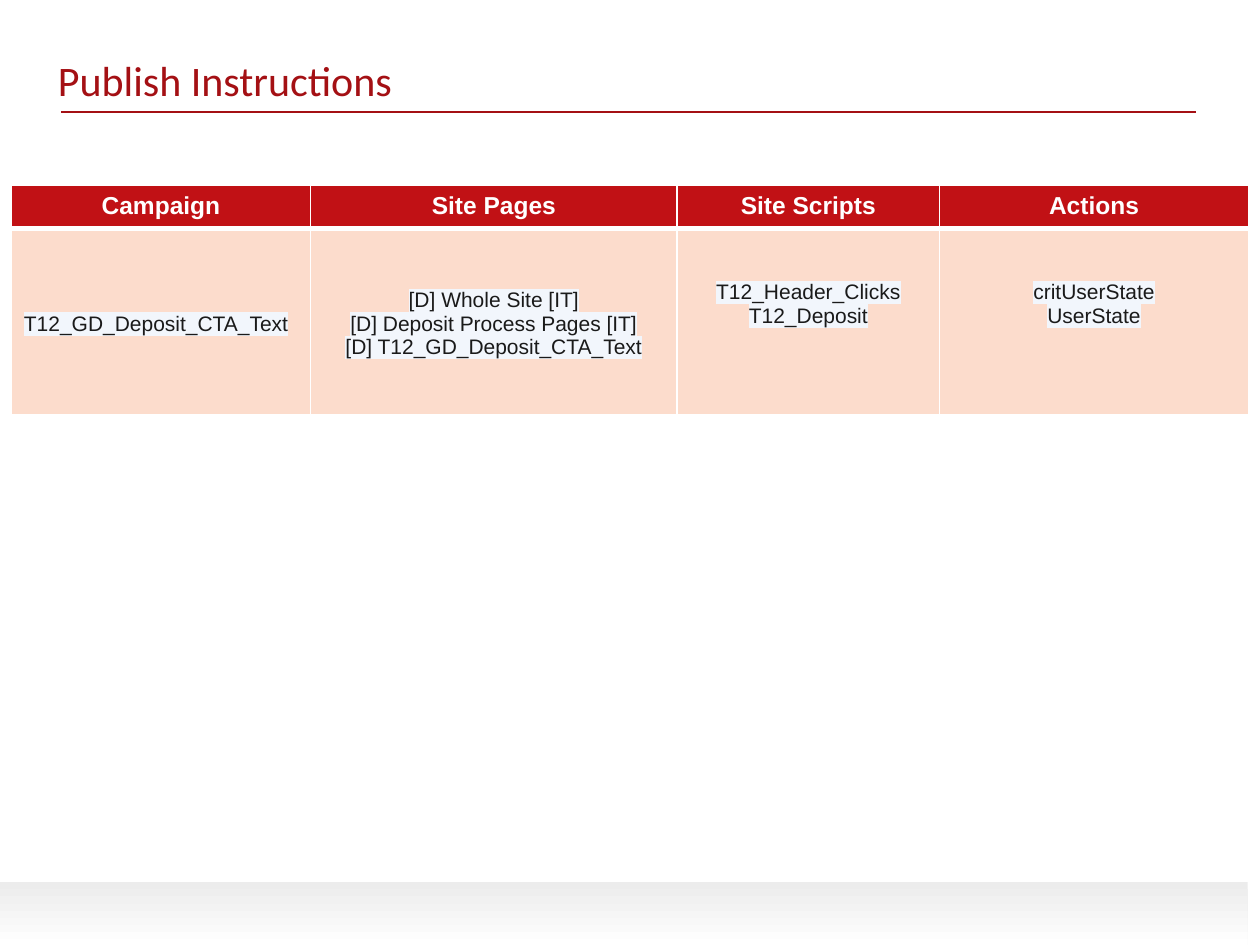
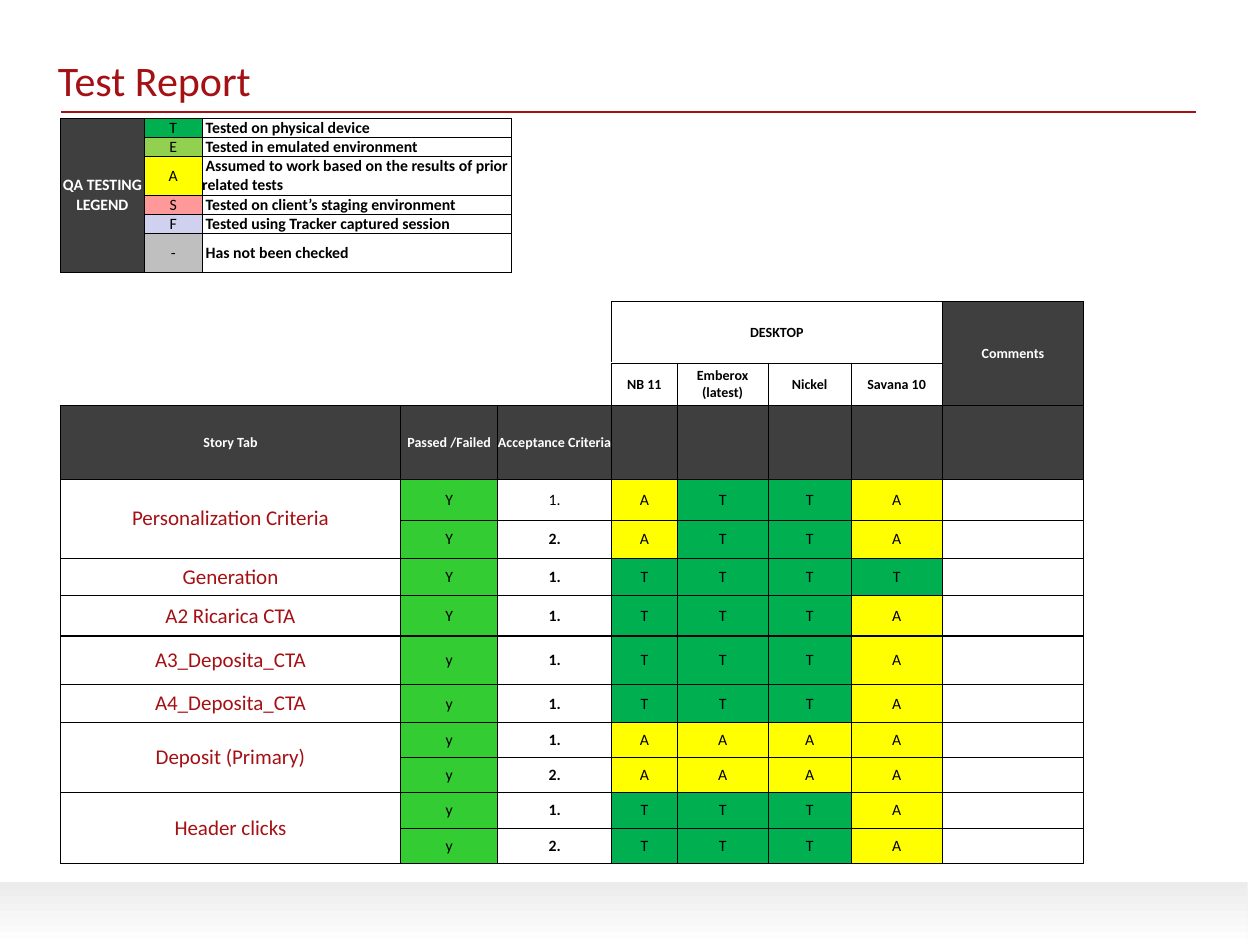
from dataclasses import dataclass

from lxml import etree
from pptx import Presentation
from pptx.dml.color import RGBColor
from pptx.enum.shapes import MSO_CONNECTOR, MSO_SHAPE
from pptx.enum.text import MSO_ANCHOR, PP_ALIGN
from pptx.oxml.ns import qn
from pptx.util import Pt

LEFT, CENTER = PP_ALIGN.LEFT, PP_ALIGN.CENTER
TOP, MIDDLE = MSO_ANCHOR.TOP, MSO_ANCHOR.MIDDLE
STRAIGHT, RECTANGLE = MSO_CONNECTOR.STRAIGHT, MSO_SHAPE.RECTANGLE


@dataclass(frozen=True)
class Theme:
    """Colours, fonts and type sizes of the deck."""
    title: str = "A41014"
    header: str = "C11115"
    body: str = "FCDCCC"
    ink: str = "1A1A1A"
    highlight: str = "F2F6FC"
    band: str = "ECECEC"
    white: str = "FFFFFF"
    black: str = "000000"
    dark: str = "3F3F3F"
    passed: str = "33CC33"
    physical: str = "00B050"
    emulated: str = "92D050"
    assumed: str = "FFFF00"
    staging: str = "FF9999"
    captured: str = "D0D0EF"
    unchecked: str = "BFBFBF"
    heading_font: str = "Calibri"
    body_font: str = "Arial"
    title_size: float = 24
    header_size: float = 14
    story_size: float = 12
    mark_size: float = 9
    label_size: float = 8


THEME = Theme()
MARKS = {"T": THEME.physical, "A": THEME.assumed}
LEGEND = [
    ("T", THEME.physical, " Tested on physical device"),
    ("E", THEME.emulated, " Tested in emulated environment"),
    ("A", THEME.assumed, " Assumed to work based on the results of prior related tests"),
    ("S", THEME.staging, " Tested on client’s staging environment"),
    ("F", THEME.captured, " Tested using Tracker captured session"),
    ("-", THEME.unchecked, " Has not been checked"),
]
PUBLISH = [
    ("Campaign", "T12_GD_Deposit_CTA_Text", LEFT, 48),
    ("Site Pages", "[D] Whole Site [IT]\n[D] Deposit Process Pages [IT]\n"
                   "[D] T12_GD_Deposit_CTA_Text", CENTER, 34.5),
    ("Site Scripts", "T12_Header_Clicks\nT12_Deposit", CENTER, 30),
    ("Actions", "critUserState\nUserState", CENTER, 30),
]
BROWSERS = ["NB 11", "Emberox\n(latest)", "Nickel", "Savana 10"]
STORIES = [
    ("Personalization Criteria", "Y", ["ATTA", "ATTA"]),
    ("Generation", "Y", ["TTTT"]),
    ("A2 Ricarica CTA", "Y", ["TTTA"]),
    ("A3_Deposita_CTA", "y", ["TTTA"]),
    ("A4_Deposita_CTA", "y", ["TTTA"]),
    ("Deposit (Primary)", "y", ["AAAA", "AAAA"]),
    ("Header clicks", "y", ["TTTA", "TTTA"]),
]


def rgb(value):
    """Return a colour from its hex value."""
    return RGBColor.from_string(value)


def write_text(frame, text, size=THEME.mark_size, font=THEME.heading_font,
               color=THEME.black, bold=False, align=CENTER, highlight=None):
    """Write each line of the text as a paragraph in one format."""
    frame.word_wrap = True
    for index, line in enumerate(text.split("\n")):
        paragraph = frame.add_paragraph() if index else frame.paragraphs[0]
        paragraph.alignment = align
        if not line:
            etree.SubElement(paragraph._p, qn("a:endParaRPr"), sz=str(int(size * 100)))
            continue
        run = paragraph.add_run()
        run.text = line
        run.font.size, run.font.name, run.font.bold = Pt(size), font, bold
        run.font.color.rgb = rgb(color)
        if highlight:
            mark = etree.Element(qn("a:highlight"))
            etree.SubElement(mark, qn("a:srgbClr"), val=highlight)
            run._r.rPr.find(qn("a:solidFill")).addnext(mark)


def set_borders(cell, color, **widths):
    """Draw the given sides (L, R, T, B) of a cell."""
    properties = cell._tc.get_or_add_tcPr()
    sides = [side for side in "LRTB" if side in widths]
    for index, side in enumerate(sides):
        line = etree.Element(qn(f"a:ln{side}"), w=str(Pt(widths[side])))
        fill = etree.SubElement(line, qn("a:solidFill"))
        etree.SubElement(fill, qn("a:srgbClr"), val=color)
        properties.insert(index, line)


def fill_cell(cell, text="", fill=None, margins=(0, 0, 0, 0), anchor=MIDDLE, **style):
    """Set the fill, margins and text of a cell."""
    if fill:
        cell.fill.solid()
        cell.fill.fore_color.rgb = rgb(fill)
    else:
        cell.fill.background()
    (cell.margin_left, cell.margin_top,
     cell.margin_right, cell.margin_bottom) = map(Pt, margins)
    cell.vertical_anchor = anchor
    write_text(cell.text_frame, text, **style)


def add_grid(slide, box, widths, heights):
    """Add a plain table at the left and top of the box."""
    left, top = box
    table = slide.shapes.add_table(len(heights), len(widths), Pt(left), Pt(top),
                                   Pt(sum(widths)), Pt(sum(heights))).table
    table.first_row = table.horz_banding = False
    for column, width in zip(table.columns, widths):
        column.width = Pt(width)
    for row, height in zip(table.rows, heights):
        row.height = Pt(height)
    return table


def add_frame(deck, title):
    """Add a slide with its title, rule and footer band."""
    slide = deck.slides.add_slide(deck.slide_layouts[6])
    rule = slide.shapes.add_connector(STRAIGHT, Pt(35), Pt(64), Pt(683.5), Pt(64))
    rule.line.color.rgb, rule.line.width = rgb(THEME.title), Pt(1.25)
    etree.SubElement(rule._element.spPr, qn("a:effectLst"))
    band = slide.shapes.add_shape(RECTANGLE, 0, Pt(504), Pt(713), Pt(37))
    band.shadow.inherit = False
    band.line.fill.background()
    band.fill.gradient()
    band.fill.gradient_angle = 270
    for stop, color in zip(band.fill.gradient_stops, (THEME.band, THEME.white)):
        stop.color.rgb = rgb(color)
    heading = slide.shapes.add_textbox(Pt(26), Pt(27.5), Pt(659.5), Pt(36))
    write_text(heading.text_frame, title, size=THEME.title_size,
               color=THEME.title, align=LEFT)
    return slide


def add_publish_table(slide, box):
    """Add the table of campaign, pages, scripts and actions."""
    table = add_grid(slide, box, [171, 209.5, 150, 176.5], [24.5, 106.5])
    for column, (header, body, align, offset) in enumerate(PUBLISH):
        head, content = table.cell(0, column), table.cell(1, column)
        fill_cell(head, header, THEME.header, (7.2, 3.6, 7.2, 3.6), TOP,
                  size=THEME.header_size, font=THEME.body_font,
                  color=THEME.white, bold=True)
        fill_cell(content, body, THEME.body, (7.2, offset, 7.2, 3.6), TOP,
                  size=THEME.story_size, font=THEME.body_font, color=THEME.ink,
                  align=align, highlight=THEME.highlight)
        set_borders(head, THEME.white, L=1, R=1, T=1, B=3)
        set_borders(content, THEME.white, L=1, R=1, T=3, B=1)


def add_legend(slide, box):
    """Add the key to the test marks."""
    table = add_grid(slide, box, [48, 33, 177], [11, 11, 22, 11, 11, 22])
    for row, (mark, color, meaning) in enumerate(LEGEND):
        fill_cell(table.cell(row, 0), "" if row else "QA TESTING LEGEND",
                  THEME.dark, color=THEME.white, bold=True)
        fill_cell(table.cell(row, 1), mark, color)
        fill_cell(table.cell(row, 2), meaning, bold=True, align=LEFT)
    for cell in table.iter_cells():
        set_borders(cell, THEME.black, L=0.75, R=0.75, T=0.75, B=0.75)
    table.cell(0, 0).merge(table.cell(len(LEGEND) - 1, 0))


def add_report_headers(table):
    """Fill the three header rows of the report."""
    rows = [
        ["", "", "", "DESKTOP", "", "", "", "Comments"],
        ["", "", "", *BROWSERS, ""],
        ["Story Tab", "Passed /Failed", "Acceptance Criteria", "", "", "", "", ""],
    ]
    for row, labels in enumerate(rows):
        for column, label in enumerate(labels):
            dark = row == 2 or column == 7
            fill_cell(table.cell(row, column), label, THEME.dark if dark else None,
                      size=THEME.label_size, bold=True,
                      color=THEME.white if dark else THEME.black)
    table.cell(0, 3).merge(table.cell(0, 6))
    table.cell(0, 7).merge(table.cell(1, 7))


def add_report(slide, box):
    """Add the results of each story in each browser."""
    table = add_grid(slide, box, [194.5, 55.5, 65, 37.5, 52, 47.5, 52, 81],
                     [35, 24.5, 42, 23.5, 21.5, 21.5, 23, 28, 21.5, 20, 20, 20.5, 20])
    add_report_headers(table)
    row = 3
    for story, verdict, results in STORIES:
        first = row
        for number, marks in enumerate(results, 1):
            fill_cell(table.cell(row, 0), story if row == first else "",
                      size=THEME.story_size, color=THEME.title)
            fill_cell(table.cell(row, 1), verdict, THEME.passed)
            fill_cell(table.cell(row, 2), f"{number}.", bold=row > 3)
            for column, mark in enumerate(marks, 3):
                fill_cell(table.cell(row, column), mark, MARKS[mark])
            fill_cell(table.cell(row, 7))
            row += 1
        if row - first > 1:
            table.cell(first, 0).merge(table.cell(row - 1, 0))
    for row in range(len(table.rows)):
        for column in range(len(table.columns)):
            sides = "LRTB"
            if row < 2 and column < 3:
                sides = ("R" if column == 2 else "") + ("B" if row == 1 else "")
            set_borders(table.cell(row, column), THEME.black, **dict.fromkeys(sides, 0.75))


def main():
    """Build the deck and save it."""
    deck = Presentation()
    deck.slide_width, deck.slide_height = Pt(720), Pt(540)
    add_publish_table(add_frame(deck, "Publish Instructions"), (6.5, 106))
    report = add_frame(deck, "Test Report")
    add_legend(report, (34.5, 67.5))
    add_report(report, (34.5, 172.5))
    deck.save("out.pptx")


if __name__ == "__main__":
    main()
